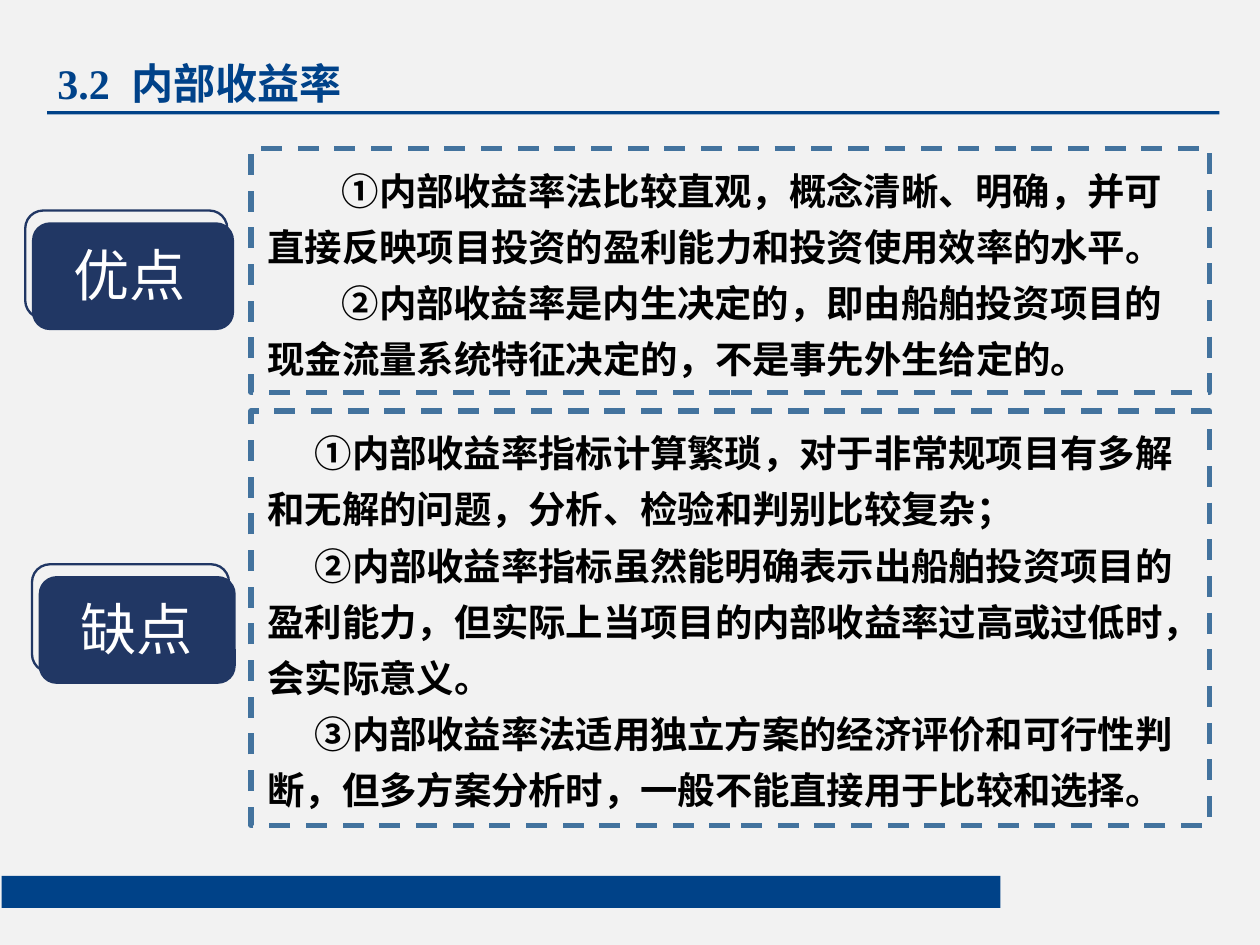
from dataclasses import dataclass

from pptx import Presentation
from pptx.dml.color import RGBColor
from pptx.enum.dml import MSO_LINE
from pptx.enum.shapes import MSO_SHAPE
from pptx.enum.text import MSO_ANCHOR, PP_ALIGN
from pptx.util import Pt

PX = 9144


@dataclass(frozen=True)
class Theme:
    background: str = "F2F2F2"
    band: str = "004288"
    heading: str = "004289"
    dash: str = "43739E"
    badge: str = "213764"
    badge_text: str = "FFFFFF"
    ink: str = "000000"
    serif: str = "Times New Roman"
    sans: str = "Karla"
    heading_size: int = 18
    badge_size: int = 24
    body_size: int = 16


def add_text(paragraph, text, *, size, color, font, bold=False, spacing=0):
    run = paragraph.add_run()
    run.text = text
    run.font.size = Pt(size)
    run.font.bold = bold
    run.font.name = font
    run.font.color.rgb = RGBColor.from_string(color)
    if spacing:
        run.font._element.set("spc", str(spacing))


class SlideBuilder:
    def __init__(self, deck, theme):
        self.theme = theme
        self.slide = deck.slides.add_slide(deck.slide_layouts[5])
        self.slide.background.fill.solid()
        self.slide.background.fill.fore_color.rgb = RGBColor.from_string(theme.background)

    def block(self, kind, box, fill=None, line=None, weight=1, dash=None):
        shape = self.slide.shapes.add_shape(kind, *(n * PX for n in box))
        shape.shadow.inherit = False
        if fill:
            shape.fill.solid()
            shape.fill.fore_color.rgb = RGBColor.from_string(fill)
        else:
            shape.fill.background()
        if line:
            shape.line.color.rgb = RGBColor.from_string(line)
            shape.line.width = Pt(weight)
            shape.line.dash_style = dash
        else:
            shape.line.fill.background()
        return shape

    def heading(self, number, name, box):
        title = self.slide.shapes.title
        title.left, title.top, title.width, title.height = (n * PX for n in box)
        frame = title.text_frame
        frame.word_wrap = False
        frame.vertical_anchor = MSO_ANCHOR.BOTTOM
        frame.margin_left = frame.margin_right = 7 * PX
        frame.margin_top = frame.margin_bottom = 5 * PX
        paragraph = frame.paragraphs[0]
        paragraph.alignment = PP_ALIGN.LEFT
        for part, spacing in ((number, 0), (" ", 450), (name, 0)):
            add_text(paragraph, part, size=self.theme.heading_size, color=self.theme.heading,
                     font=self.theme.serif, bold=True, spacing=spacing)

    def badge(self, label, left, top, width):
        height = 64
        self.block(MSO_SHAPE.ROUNDED_RECTANGLE, (left, top, width, height), fill=self.theme.badge)
        caption = self.slide.shapes.add_textbox(
            (left + 15) * PX, (top + 6) * PX, (width - 29) * PX, 50 * PX)
        caption.text_frame.word_wrap = True
        add_text(caption.text_frame.paragraphs[0], label, size=self.theme.badge_size,
                 color=self.theme.badge_text, font=self.theme.sans)
        self.block(MSO_SHAPE.ROUNDED_RECTANGLE, (left - 4, top - 7, width, height),
                   line=self.theme.badge)

    def panel(self, points, top, height, indent):
        panel = self.block(MSO_SHAPE.RECTANGLE, (149, top, 569, height),
                           line=self.theme.dash, weight=2.25, dash=MSO_LINE.DASH)
        frame = panel.text_frame
        frame.word_wrap = True
        frame.vertical_anchor = MSO_ANCHOR.TOP
        for index, point in enumerate(points):
            paragraph = frame.add_paragraph() if index else frame.paragraphs[0]
            paragraph.alignment = PP_ALIGN.LEFT
            paragraph.line_spacing = 1.25
            properties = paragraph._p.get_or_add_pPr()
            properties.set("marL", "0")
            properties.set("indent", str(indent * PX))
            add_text(paragraph, point, size=self.theme.body_size, color=self.theme.ink,
                     font=self.theme.serif, bold=True)


STRENGTHS = (
    "①内部收益率法比较直观，概念清晰、明确，并可直接反映项目投资的盈利能力和投资使用效率的水平。",
    "②内部收益率是内生决定的，即由船舶投资项目的现金流量系统特征决定的，不是事先外生给定的。",
)
WEAKNESSES = (
    "①内部收益率指标计算繁琐，对于非常规项目有多解和无解的问题，分析、检验和判别比较复杂；",
    "②内部收益率指标虽然能明确表示出船舶投资项目的盈利能力，但实际上当项目的内部收益率过高或过低时，会实际意义。",
    "③内部收益率法适用独立方案的经济评价和可行性判断，但多方案分析时，一般不能直接用于比较和选择。",
)


def main():
    deck = Presentation()
    deck.slide_width, deck.slide_height = 748 * PX, 561 * PX
    theme = Theme()
    builder = SlideBuilder(deck, theme)
    for band in ((1, 520, 593, 19), (28, 66, 696, 2)):
        builder.block(MSO_SHAPE.RECTANGLE, band, fill=theme.band)
    builder.heading("3.2", "内部收益率", (27, 21, 189, 48))
    builder.panel(STRENGTHS, top=88, height=145, indent=44)
    builder.badge("优点", left=19, top=132, width=120)
    builder.badge("缺点", left=23, top=342, width=117)
    builder.panel(WEAKNESSES, top=244, height=246, indent=28)
    deck.save("out.pptx")


if __name__ == "__main__":
    main()
